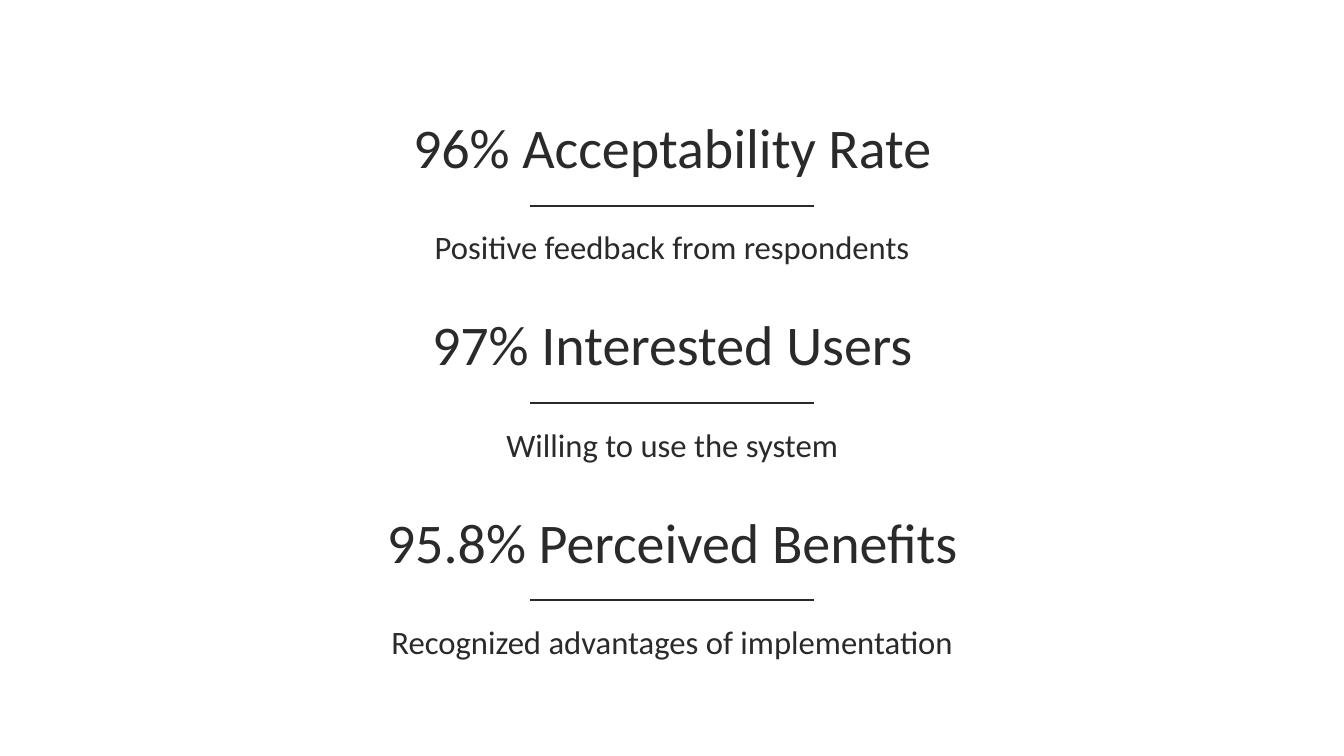
"""Build a slide with three survey results, each a headline, a rule and a caption."""
from lxml import etree
from pptx import Presentation
from pptx import util as u
from pptx.dml.color import RGBColor
from pptx.enum import shapes, text
from pptx.oxml.ns import qn

INK = "2A2A2A"
FIRST_TOP, PITCH = 1.76, 2.935
RESULTS = [
    ("96% Acceptability Rate", "Positive feedback from respondents"),
    ("97% Interested Users", "Willing to use the system"),
    ("95.8% Perceived Benefits", "Recognized advantages of implementation"),
]


def color(value):
    return RGBColor.from_string(value)


def add_line_of_text(group, words, top, height, size, spacing):
    box = group.shapes.add_textbox(
        u.Inches(3.88), u.Inches(top), u.Inches(12.25), u.Inches(height))
    frame = box.text_frame
    frame.margin_left = frame.margin_right = frame.margin_top = frame.margin_bottom = 0
    frame.word_wrap = True
    frame.auto_size = text.MSO_AUTO_SIZE.SHAPE_TO_FIT_TEXT
    paragraph = frame.paragraphs[0]
    paragraph.text = words
    paragraph.alignment = text.PP_ALIGN.CENTER
    paragraph.line_spacing = u.Pt(spacing)
    paragraph.font.name = "Calibri"
    paragraph.font.size = u.Pt(size)
    paragraph.font.color.rgb = color(INK)


prs = Presentation()
prs.slide_width, prs.slide_height = u.Inches(20), u.Inches(11.25)
slide = prs.slides.add_slide(prs.slide_layouts[6])

for index, (headline, caption) in enumerate(RESULTS):
    top = FIRST_TOP + index * PITCH
    result = slide.shapes.add_group_shape()

    rule_y = u.Inches(top + 1.3)
    rule = result.shapes.add_connector(
        shapes.MSO_CONNECTOR.STRAIGHT, u.Inches(12.11), rule_y, u.Inches(7.89), rule_y)
    rule.line.color.rgb = color(INK)
    rule.line.width = u.Pt(2)
    etree.SubElement(rule._element.spPr, qn("a:effectLst"))

    add_line_of_text(result, headline, top, 0.95, 60, 66)
    add_line_of_text(result, caption, top + 1.62, 0.59, 35, 42)

prs.save("out.pptx")
